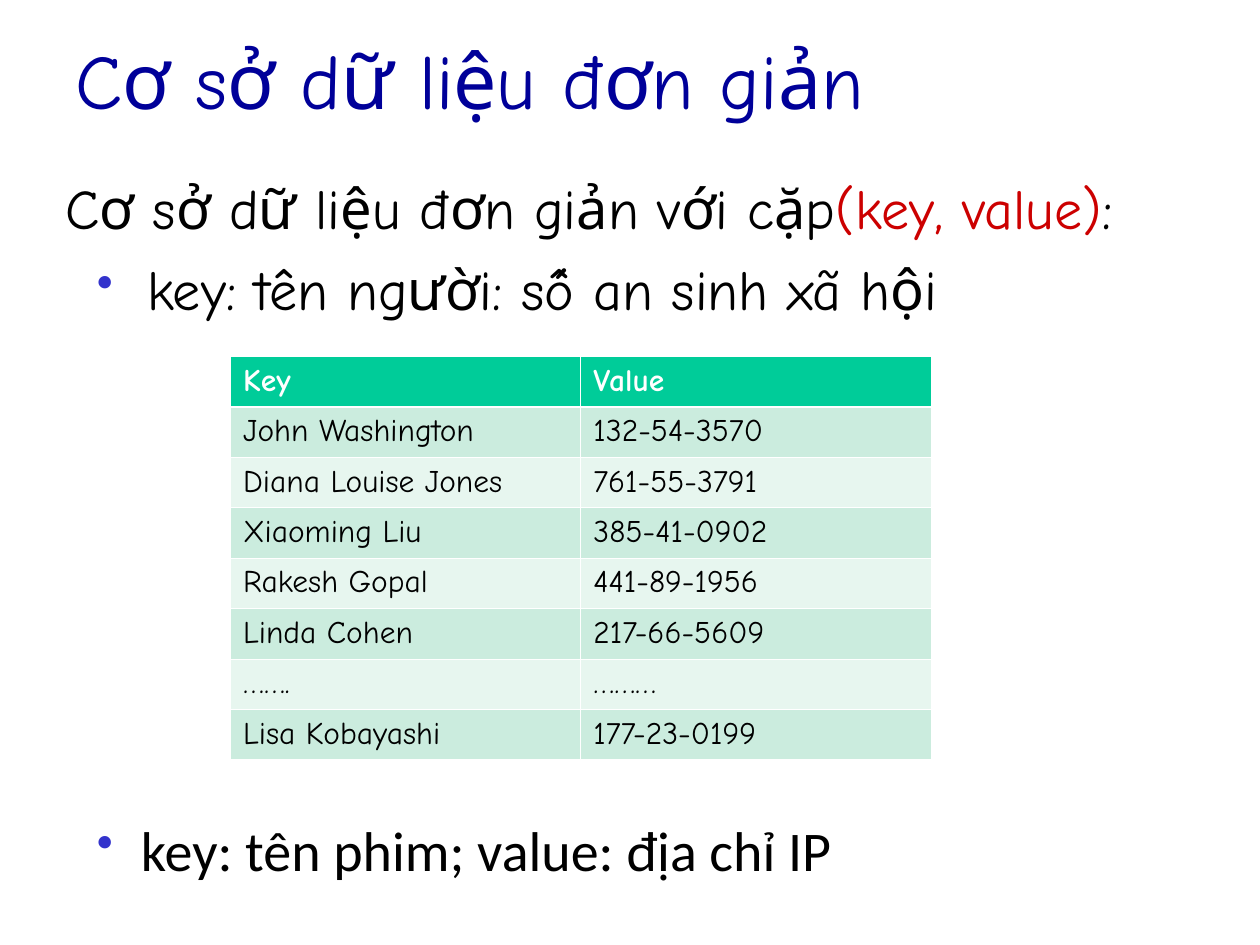
from lxml import etree
from pptx import Presentation
from pptx import util as u
from pptx.dml.color import RGBColor
from pptx.enum import text
from pptx.oxml import ns

INK = {"title": "000099", "body": "000000", "pair": "CC0000", "dot": "3333CC",
       "head": "00CC99", "odd": "CBECDE", "even": "E7F6EF", "white": "FFFFFF"}
FONT = "Comic Neue"
ROWS = [
    ("Key", "Value"),
    ("John Washington", "132-54-3570"),
    ("Diana Louise Jones", "761-55-3791"),
    ("Xiaoming Liu", "385-41-0902"),
    ("Rakesh Gopal", "441-89-1956"),
    ("Linda Cohen", "217-66-5609"),
    ("…….", "………"),
    ("Lisa Kobayashi", "177-23-0199"),
]


def add_tag(parent, name, **attrs):
    return etree.SubElement(parent, ns.qn(name), attrs)


def write(para, words, size=32, font=FONT, ink="body", bold=False):
    run = para.add_run()
    run.text = words
    run.font.size = u.Pt(size)
    run.font.name = font
    run.font.bold = bold
    run.font.color.rgb = RGBColor.from_string(INK[ink])


def add_box(slide, left, top, width, height, anchor=text.MSO_ANCHOR.TOP):
    box = slide.shapes.add_textbox(*map(u.Inches, (left, top, width, height)))
    frame = box.text_frame
    frame.word_wrap = True
    frame.vertical_anchor = anchor
    return frame


def add_dot(para):
    """Turn a paragraph into a bulleted one with a hanging indent."""
    props = para._p.get_or_add_pPr()
    props.set("marL", str(u.Inches(0.5)))
    props.set("indent", str(u.Inches(-0.25)))
    add_tag(add_tag(props, "a:buClr"), "a:srgbClr", val=INK["dot"])
    add_tag(props, "a:buSzPct", val="85000")
    add_tag(props, "a:buChar", char="•")


def add_edges(cell, **widths):
    """Draw white cell borders; they must precede the cell fill."""
    props = cell._tc.get_or_add_tcPr()
    for side, width in widths.items():
        line = add_tag(props, "a:ln" + side, w=str(u.Pt(width)))
        add_tag(add_tag(line, "a:solidFill"), "a:srgbClr", val=INK["white"])


def add_grid(slide, left, top, width, height):
    frame = slide.shapes.add_table(len(ROWS), 2, *map(u.Inches, (left, top, width, height)))
    for r, row in enumerate(ROWS):
        head = r == 0
        fill = "head" if head else "odd" if r % 2 else "even"
        for c, words in enumerate(row):
            cell = frame.table.cell(r, c)
            add_edges(cell, L=0.45, R=0.45, T=1.47 if r == 1 else 0.45, B=1.47 if head else 0.45)
            cell.fill.solid()
            cell.fill.fore_color.rgb = RGBColor.from_string(INK[fill])
            write(cell.text_frame.paragraphs[0], words, size=18,
                  ink="white" if head else "body", bold=head)


def main():
    deck = Presentation()
    deck.slide_width, deck.slide_height = u.Inches(10), u.Inches(7.5)
    slide = deck.slides.add_slide(deck.slide_layouts[6])

    add_grid(slide, 1.83, 2.83, 5.56, 3.2)

    intro = add_box(slide, 0.42, 1.33, 9.58, 1.4)
    lead = intro.paragraphs[0]
    write(lead, "Cơ sở dữ liệu đơn giản với cặp")
    write(lead, "(key, value)", ink="pair")
    write(lead, ":")
    people = intro.add_paragraph()
    add_dot(people)
    people.space_before = u.Pt(8)
    write(people, " key: tên người: số an sinh xã hội")

    title = add_box(slide, 0.5, 0, 9, 1.25, text.MSO_ANCHOR.MIDDLE)
    write(title.paragraphs[0], "Cơ sở dữ liệu đơn giản", size=44, ink="title")

    films = add_box(slide, 0.42, 6.42, 9.58, 0.7).paragraphs[0]
    add_dot(films)
    write(films, " key: tên phim; value: địa chỉ IP", font="Calibri")

    deck.save("out.pptx")


if __name__ == "__main__":
    main()
